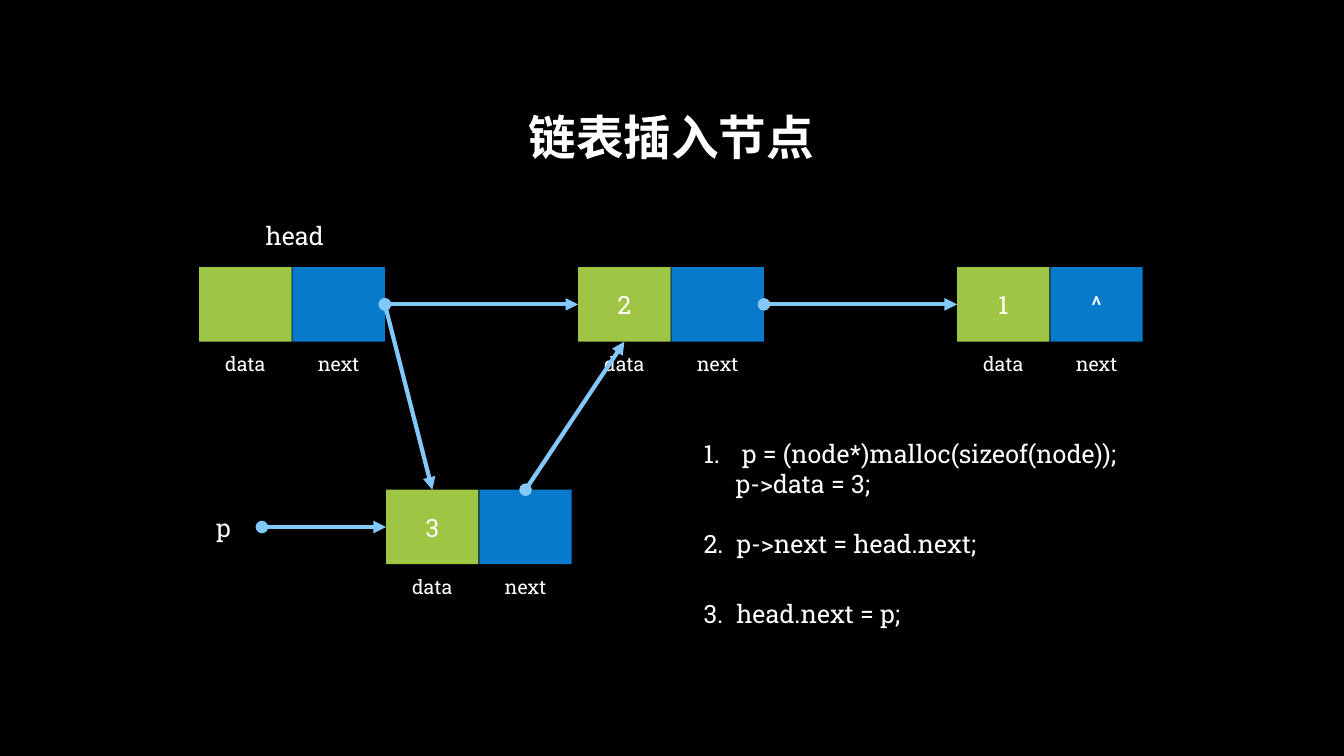
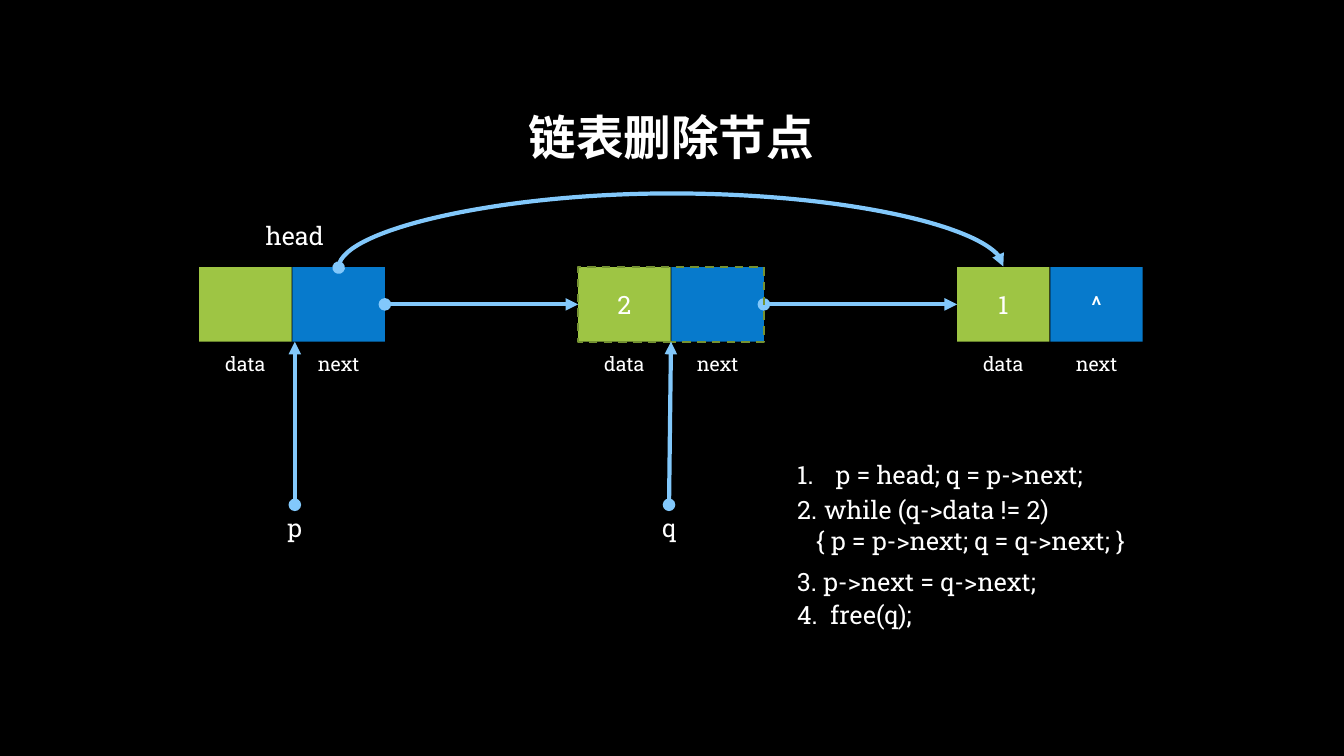
from lxml.etree import SubElement
from pptx import Presentation
from pptx.dml.color import RGBColor
from pptx.enum.dml import MSO_LINE
from pptx.enum.shapes import MSO_CONNECTOR, MSO_SHAPE
from pptx.enum.text import MSO_ANCHOR, PP_ALIGN
from pptx.oxml.ns import qn
from pptx.util import Cm, Pt

BLACK = RGBColor(0x00, 0x00, 0x00)
WHITE = RGBColor(0xFF, 0xFF, 0xFF)
GREEN = RGBColor(0x9E, 0xC5, 0x44)
BLUE = RGBColor(0x07, 0x7A, 0xCC)
SKY = RGBColor(0x82, 0xC8, 0xFB)
OLIVE = RGBColor(0x75, 0x92, 0x32)
FONT = "Roboto Slab"

TOP, LEFT, BOTTOM, RIGHT = range(4)

# Lengths in centimetres
CELL_WIDTH, CELL_HEIGHT, CELL_PITCH = 2.33, 1.88, 2.35
LABEL_WIDTH, LABEL_HEIGHT = 2.87, 1.12
LIST_LEFT, LIST_TOP, NODE_PITCH = 5.02, 6.73, 9.55
HEAD_CENTRE = 7.43
POINTER_TOP = 12.72


class Deck:
    def __init__(self):
        self.presentation = Presentation()
        self.presentation.slide_width = Cm(33.87)
        self.presentation.slide_height = Cm(19.05)
        fill = self.presentation.slide_master.background.fill
        fill.solid()
        fill.fore_color.rgb = BLACK
        self.slide = None

    def new_slide(self, title):
        layout = self.presentation.slide_layouts[6]
        self.slide = self.presentation.slides.add_slide(layout)
        paragraph = self.text(title, 2.54, 1.7, 28.75, 3.68, 34, bold=True)
        paragraph.line_spacing = 0.9

    def run(self, paragraph, text, size, bold=False):
        run = paragraph.add_run()
        run.text = text
        run.font.size = Pt(size)
        run.font.bold = bold
        run.font.color.rgb = WHITE
        run.font.name = FONT
        SubElement(run.font._element, qn("a:ea"), typeface=FONT)

    def text_frame(self, left, top, width, height):
        box = self.slide.shapes.add_textbox(Cm(left), Cm(top), Cm(width), Cm(height))
        box.text_frame.word_wrap = True
        return box.text_frame

    def text(self, text, left, top, width, height, size, bold=False):
        frame = self.text_frame(left, top, width, height)
        frame.vertical_anchor = MSO_ANCHOR.MIDDLE
        paragraph = frame.paragraphs[0]
        paragraph.alignment = PP_ALIGN.CENTER
        self.run(paragraph, text, size, bold)
        return paragraph

    def label(self, text, centre, top):
        self.text(text, centre - LABEL_WIDTH / 2, top, LABEL_WIDTH, LABEL_HEIGHT, 18)

    def rectangle(self, left, top, width, height):
        shape = self.slide.shapes.add_shape(
            MSO_SHAPE.RECTANGLE, Cm(left), Cm(top), Cm(width), Cm(height))
        shape.shadow.inherit = False
        return shape

    def cell(self, left, top, color, value, caption):
        shape = self.rectangle(left, top, CELL_WIDTH, CELL_HEIGHT)
        shape.fill.solid()
        shape.fill.fore_color.rgb = color
        shape.line.fill.background()
        if value:
            shape.text_frame.vertical_anchor = MSO_ANCHOR.MIDDLE
            paragraph = shape.text_frame.paragraphs[0]
            paragraph.alignment = PP_ALIGN.CENTER
            self.run(paragraph, value, 18)
        self.text(caption, left, top + CELL_HEIGHT, CELL_WIDTH, LABEL_HEIGHT, 14)
        return shape

    def node(self, left, top, data="", link=""):
        """Draw a list node and return its data and next cells."""
        return (self.cell(left, top, GREEN, data, "data"),
                self.cell(left + CELL_PITCH, top, BLUE, link, "next"))

    def dashed_outline(self, left, top, width, height):
        shape = self.rectangle(left, top, width, height)
        shape.fill.background()
        shape.line.color.rgb = OLIVE
        shape.line.width = Pt(1.5)
        shape.line.dash_style = MSO_LINE.DASH
        return shape

    def connector(self, kind, begin, end):
        connector = self.slide.shapes.add_connector(
            kind, *(Cm(length) for length in begin + end))
        connector.line.color.rgb = SKY
        connector.line.width = Pt(3)
        line = connector.line._get_or_add_ln()
        SubElement(line, qn("a:headEnd"), type="oval")
        SubElement(line, qn("a:tailEnd"), type="triangle")
        SubElement(connector._element.spPr, qn("a:effectLst"))
        return connector

    def arrow(self, begin, end):
        """Each end is a point (x, y) or a joint (shape, side)."""
        joints = [not isinstance(place[0], (int, float)) for place in (begin, end)]
        points = [(0, 0) if joint else place
                  for joint, place in zip(joints, (begin, end))]
        connector = self.connector(MSO_CONNECTOR.STRAIGHT, *points)
        if joints[0]:
            connector.begin_connect(*begin)
        if joints[1]:
            connector.end_connect(*end)

    def arch(self, left, right, base, rise):
        """Draw a curved arrow over the list: an upright connector turned by 90 degrees."""
        centre, half_span, half_drop = (left + right) / 2, (right - left) / 2, 0.015
        connector = self.connector(
            MSO_CONNECTOR.CURVE,
            (centre + half_drop, base + half_span),
            (centre - half_drop, base - half_span))
        properties = connector._element.spPr
        properties.find(qn("a:xfrm")).set("rot", "5400000")
        geometry = properties.find(qn("a:prstGeom"))
        guides = geometry.find(qn("a:avLst"))
        if guides is None:
            guides = SubElement(geometry, qn("a:avLst"))
        bend = round(rise / (2 * half_drop) * 100000)
        SubElement(guides, qn("a:gd"), name="adj1", fmla=f"val {bend}")

    def step(self, number, left, top, indent, code, more="", more_indent=0):
        """Write a numbered line of code, with an indented second line if given."""
        frame = self.text_frame(left, top, 13.23, 1.8 if more else 1.02)
        paragraph = frame.paragraphs[0]
        properties = paragraph._p.get_or_add_pPr()
        properties.set("marL", str(Cm(indent)))
        properties.set("indent", str(-Cm(indent)))
        SubElement(properties, qn("a:buFont"), typeface=FONT)
        SubElement(properties, qn("a:buAutoNum"), type="arabicPeriod", startAt=str(number))
        self.run(paragraph, code, 18)
        if more:
            paragraph = frame.add_paragraph()
            paragraph._p.get_or_add_pPr().set("marL", str(Cm(more_indent)))
            self.run(paragraph, more, 18)

    def steps(self, left, rows):
        for number, row in enumerate(rows, start=1):
            self.step(number, left, *row)

    def linked_list(self):
        """Draw the three linked nodes and return their pairs of cells."""
        self.label("head", HEAD_CENTRE, 5.38)
        values = [("", ""), ("2", ""), ("1", "^")]
        nodes = [self.node(LIST_LEFT + index * NODE_PITCH, LIST_TOP, *pair)
                 for index, pair in enumerate(values)]
        for node, following in zip(nodes, nodes[1:]):
            self.arrow((node[1], RIGHT), (following[0], LEFT))
        return nodes


def insertion_slide(deck):
    deck.new_slide("链表插入节点")
    head, second, _ = deck.linked_list()
    inserted = deck.node(9.73, 12.34, "3")
    deck.label("p", 5.63, POINTER_TOP)
    deck.arrow((6.6, 13.28), (inserted[0], LEFT))
    deck.arrow((head[1], RIGHT), (inserted[0], TOP))
    deck.arrow((inserted[1], TOP), (second[0], BOTTOM))
    deck.steps(17.48, [
        (10.92, 0.97, "p = (node*)malloc(sizeof(node));", "p->data = 3;", 0.81),
        (13.18, 0.83, "p->next = head.next;"),
        (14.96, 0.83, "head.next = p;"),
    ])


def deletion_slide(deck):
    deck.new_slide("链表删除节点")
    deck.linked_list()
    deleted = deck.dashed_outline(
        LIST_LEFT + NODE_PITCH, LIST_TOP, CELL_PITCH + CELL_WIDTH, CELL_HEIGHT)
    q_centre = 16.86
    deck.label("p", HEAD_CENTRE, POINTER_TOP)
    deck.label("q", q_centre, POINTER_TOP)
    deck.arrow((HEAD_CENTRE, POINTER_TOP), (HEAD_CENTRE, LIST_TOP + CELL_HEIGHT))
    deck.arrow((q_centre, POINTER_TOP), (deleted, BOTTOM))
    first_data = LIST_LEFT + CELL_WIDTH / 2
    deck.arch(first_data + CELL_PITCH, first_data + 2 * NODE_PITCH, LIST_TOP, 1.87)
    deck.steps(19.84, [
        (11.46, 0.97, "p = head; q = p->next;"),
        (12.34, 0.68, "while (q->data != 2)", "{ p = p->next; q = q->next; }", 0.48),
        (14.15, 0.66, "p->next = q->next;"),
        (14.99, 0.84, "free(q);"),
    ])


def main():
    deck = Deck()
    insertion_slide(deck)
    deletion_slide(deck)
    deck.presentation.save("out.pptx")


if __name__ == "__main__":
    main()
